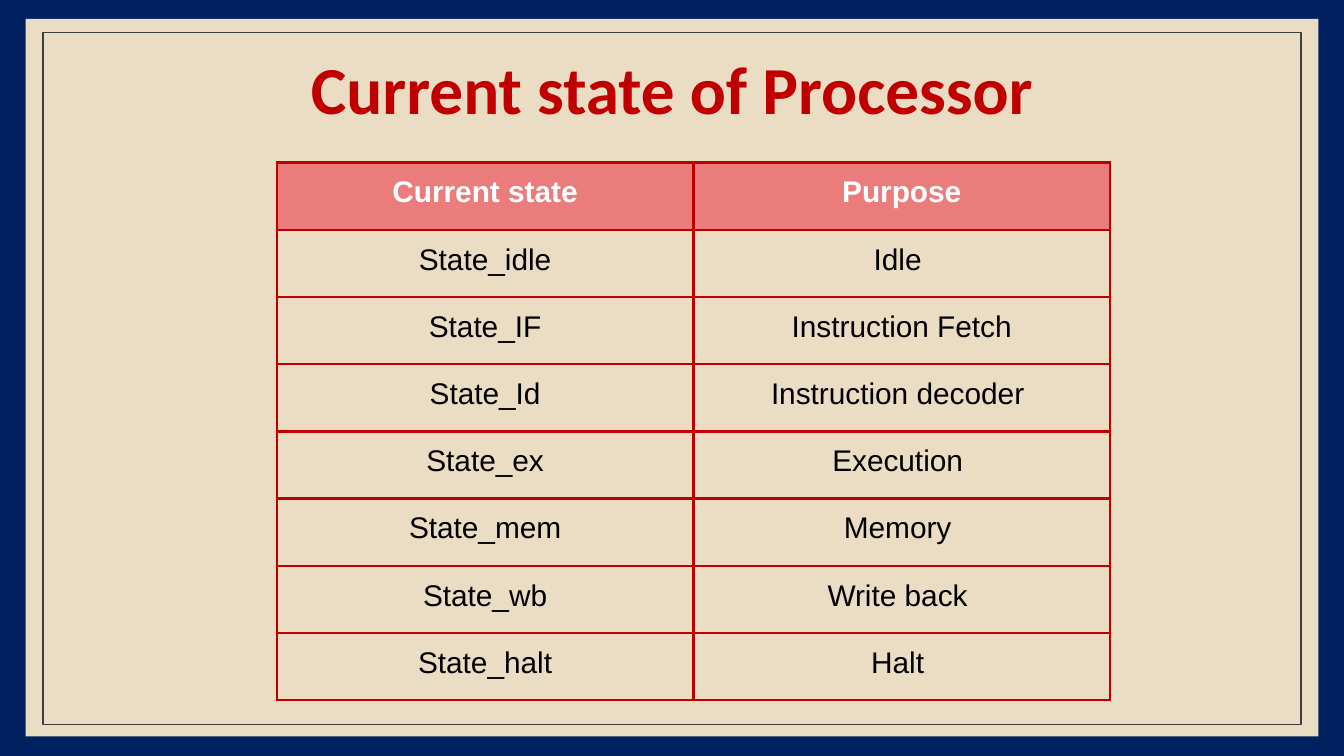
from dataclasses import dataclass

from lxml.etree import SubElement
from pptx import Presentation
from pptx.dml.color import RGBColor
from pptx.enum.shapes import MSO_SHAPE
from pptx.enum.text import MSO_ANCHOR, PP_ALIGN
from pptx.oxml.ns import qn
from pptx.util import Inches, Pt


@dataclass(frozen=True)
class Theme:
    navy: str = "002060"
    sand: str = "EBDDC3"
    gray: str = "3F3F3F"
    red: str = "C00000"
    rose: str = "EB7C7C"
    white: str = "FFFFFF"
    black: str = "000000"
    head_font: str = "Calibri"
    body_font: str = "Arial"
    head_size: float = 36
    body_size: float = 16
    frame_line: float = 0.75
    grid_line: float = 1.5


THEME = Theme()
WIDTH = 10
HEIGHT = WIDTH * 9 / 16
ROWS = [
    ("Current state", "Purpose"),
    ("State_idle", "Idle "),
    ("State_IF", "Instruction Fetch"),
    ("State_Id", "Instruction decoder "),
    ("State_ex", "Execution "),
    ("State_mem", "Memory "),
    ("State_wb", "Write back "),
    ("State_halt", "Halt "),
]


def paint(fill, color):
    fill.solid()
    fill.fore_color.rgb = RGBColor.from_string(color)


def style(frame, font, size, color, bold):
    para = frame.paragraphs[0]
    para.alignment = PP_ALIGN.CENTER
    for run in para.runs:
        run.font.name = font
        run.font.size = Pt(size)
        run.font.bold = bold
        run.font.color.rgb = RGBColor.from_string(color)


def add_panel(slide, box, fill=None, line=None):
    panel = slide.shapes.add_shape(MSO_SHAPE.RECTANGLE, *map(Inches, box))
    panel.shadow.inherit = False
    if fill:
        paint(panel.fill, fill)
    else:
        panel.fill.background()
    if line:
        paint(panel.line.fill, line)
        panel.line.width = Pt(THEME.frame_line)
    else:
        panel.line.fill.background()


def add_title(slide, text, box):
    frame = slide.shapes.add_textbox(*map(Inches, box)).text_frame
    frame.word_wrap = True
    frame.vertical_anchor = MSO_ANCHOR.MIDDLE
    frame.text = text
    frame.paragraphs[0].line_spacing = 0.9
    style(frame, THEME.head_font, THEME.head_size, THEME.red, True)


def add_border(cell):
    props = cell._tc.get_or_add_tcPr()
    for side in ("lnL", "lnR", "lnT", "lnB"):
        line = SubElement(props, qn(f"a:{side}"), w=str(Pt(THEME.grid_line)))
        fill = SubElement(line, qn("a:solidFill"))
        SubElement(fill, qn("a:srgbClr"), val=THEME.red)


def fill_cell(cell, text, is_head):
    pad = Inches(0.1)
    cell.margin_left = cell.margin_right = pad
    cell.margin_top = cell.margin_bottom = pad
    add_border(cell)
    if is_head:
        paint(cell.fill, THEME.rose)
    else:
        cell.fill.background()
    cell.text_frame.text = text
    color = THEME.white if is_head else THEME.black
    style(cell.text_frame, THEME.body_font, THEME.body_size, color, is_head)


def add_grid(slide, rows, box):
    size = len(rows), len(rows[0])
    table = slide.shapes.add_table(*size, *map(Inches, box)).table
    table.horz_banding = False
    table.first_row = False
    for r, row in enumerate(rows):
        for c, text in enumerate(row):
            fill_cell(table.cell(r, c), text, r == 0)


def main():
    deck = Presentation()
    deck.slide_width = Inches(WIDTH)
    deck.slide_height = Inches(HEIGHT)
    slide = deck.slides.add_slide(deck.slide_layouts[6])
    paint(slide.background.fill, THEME.navy)
    add_panel(slide, (0.19, 0.14, 9.62, 5.34), fill=THEME.sand)
    add_panel(slide, (0.32, 0.24, 9.36, 5.15), line=THEME.gray)
    add_title(slide, "Current state of Processor", (0.34, 0.35, 9.32, 0.68))
    add_grid(slide, ROWS, (2.06, 1.21, 6.2, 4))
    deck.save("out.pptx")


if __name__ == "__main__":
    main()
